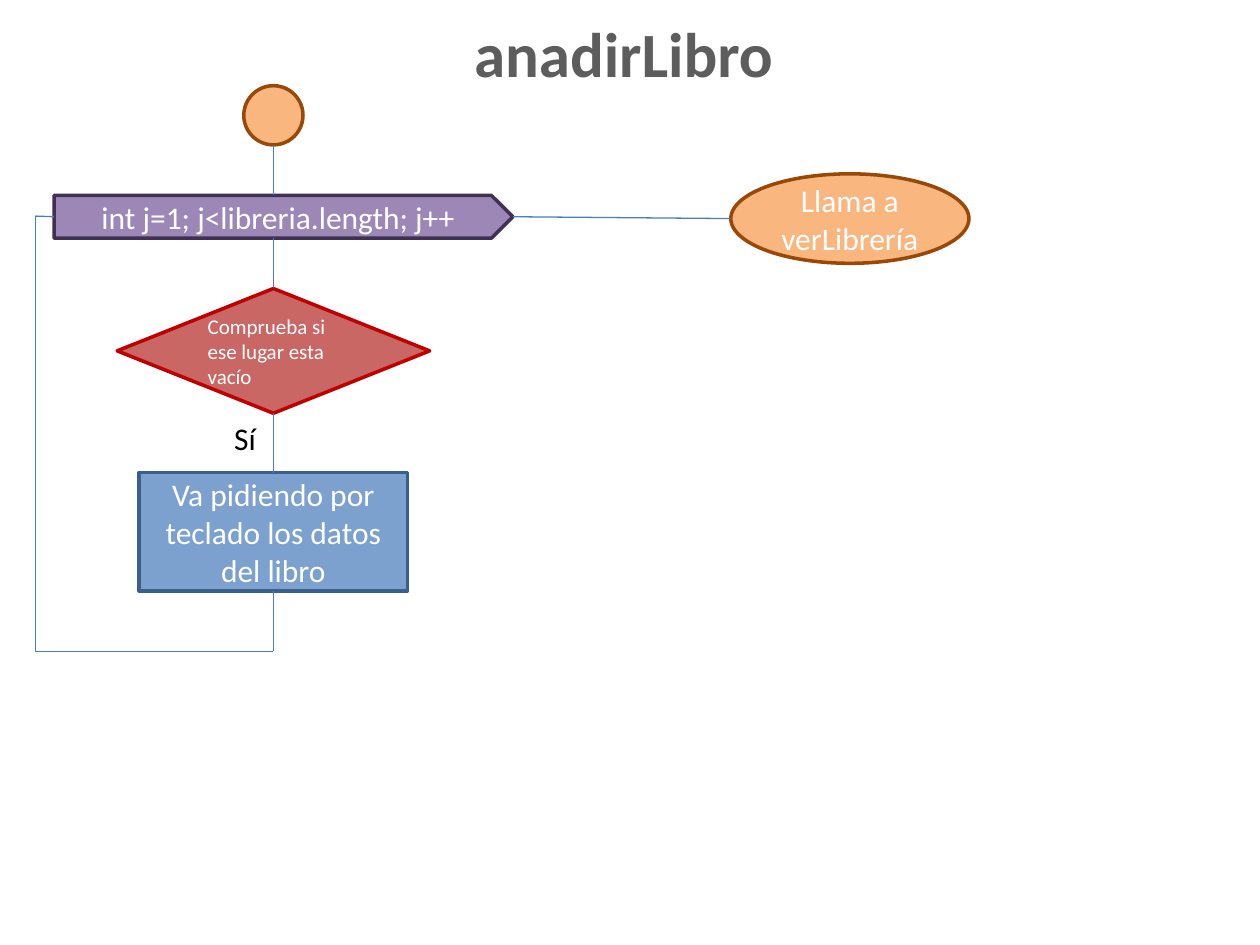
from lxml.etree import SubElement
from pptx import Presentation
from pptx.dml.color import RGBColor
from pptx.enum.shapes import MSO_CONNECTOR, MSO_SHAPE
from pptx.enum.text import MSO_ANCHOR, PP_ALIGN
from pptx.oxml.ns import qn
from pptx.util import Inches, Pt

HUES = {
    "title": "5D5D5D", "white": "FFFFFF", "black": "000000", "link": "4B7EBC",
    "plum": "9D87B7", "plum edge": "403152",
    "peach": "F9B67F", "peach edge": "984807",
    "blue": "7CA1CE", "blue edge": "3A5F8C",
    "red": "C96765", "red edge": "C00000",
}
FONT = "Calibri"
WIDE, HIGH = 10, 7.5
AXIS, BACK, TURN, MID = 21.7, 2.8, 68.93, 22.87

# Node boxes: centre x, top, width, height, in percent of the slide
NODES = {
    "loop": (MSO_SHAPE.PENTAGON, (22.5, 20.67, 36.4, 4.53), "plum",
             "int j=1; j<libreria.length; j++", 18, PP_ALIGN.CENTER),
    "start": (MSO_SHAPE.FLOWCHART_CONNECTOR, (AXIS, 9.07, 4.7, 6.27), "peach",
              "", 18, PP_ALIGN.CENTER),
    "call": (MSO_SHAPE.FLOWCHART_CONNECTOR, (67.45, 18.4, 18.9, 9.47), "peach",
             "Llama a verLibrería", 18, PP_ALIGN.CENTER),
    "ask": (MSO_SHAPE.FLOWCHART_PROCESS, (AXIS, 50, 21.3, 12.53), "blue",
            "Va pidiendo por teclado los datos del libro", 18, PP_ALIGN.CENTER),
    "test": (MSO_SHAPE.FLOWCHART_DECISION, (AXIS, 30.53, 24.8, 13.2), "red",
             "Comprueba si ese lugar esta vacío", 12, PP_ALIGN.LEFT),
}
TOP, LEFT, BOTTOM, RIGHT = range(4)
LINKS = [
    ((AXIS, 25.2), ("test", TOP)),
    ((AXIS, 15.34), (AXIS, 20.67)),
    (("test", BOTTOM), ("ask", TOP)),
    (("loop", RIGHT), (58, 23.13)),
    (("ask", BOTTOM), (AXIS, TURN)),
    ((AXIS, TURN), (BACK, TURN)),
    ((BACK, TURN), (BACK, MID)),
    ((BACK, MID), ("loop", LEFT)),
]


def hue(name):
    return RGBColor.from_string(HUES[name])


def place(x, y):
    return Inches(WIDE * x / 100), Inches(HIGH * y / 100)


def frame(box):
    mid, top, wide, high = box
    return *place(mid - wide / 2, top), *place(wide, high)


def write(shape, text, size, tint, align, bold=False):
    body = shape.text_frame
    body.text = text
    body.word_wrap = True
    line = body.paragraphs[0]
    line.alignment = align
    for run in line.runs:
        run.font.name = FONT
        run.font.size = Pt(size)
        run.font.bold = bold
        run.font.color.rgb = hue(tint)


def draw(slide, kind, box, tint, text, size, align):
    node = slide.shapes.add_shape(kind, *frame(box))
    node.shadow.inherit = False
    node.fill.solid()
    node.fill.fore_color.rgb = hue(tint)
    node.line.color.rgb = hue(tint + " edge")
    node.line.width = Pt(2)
    node.text_frame.vertical_anchor = MSO_ANCHOR.MIDDLE
    if text:
        write(node, text, size, "white", align)
    return node


def join(slide, nodes, start, end):
    ends = [(0, 0) if e[0] in nodes else place(*e) for e in (start, end)]
    line = slide.shapes.add_connector(MSO_CONNECTOR.STRAIGHT, *ends[0], *ends[1])
    for spot, hook in ((start, line.begin_connect), (end, line.end_connect)):
        if spot[0] in nodes:
            hook(nodes[spot[0]], spot[1])
    line.line.color.rgb = hue("link")
    line.line.width = Pt(0.75)
    SubElement(line._element.spPr, qn("a:effectLst"))


def main():
    deck = Presentation()
    deck.slide_width, deck.slide_height = Inches(WIDE), Inches(HIGH)
    slide = deck.slides.add_slide(deck.slide_layouts[5])

    title = slide.shapes.title
    title.left, title.top, title.width, title.height = frame((49.5, 0.8, 26, 9.47))
    write(title, "anadirLibro", 36, "title", PP_ALIGN.CENTER, True)

    nodes = {name: draw(slide, *node) for name, node in NODES.items()}
    for link in LINKS:
        join(slide, nodes, *link)

    label = slide.shapes.add_textbox(*frame((19.55, 43.73, 3.9, 5.33)))
    write(label, "Sí", 18, "black", PP_ALIGN.LEFT)
    deck.save("out.pptx")


if __name__ == "__main__":
    main()
